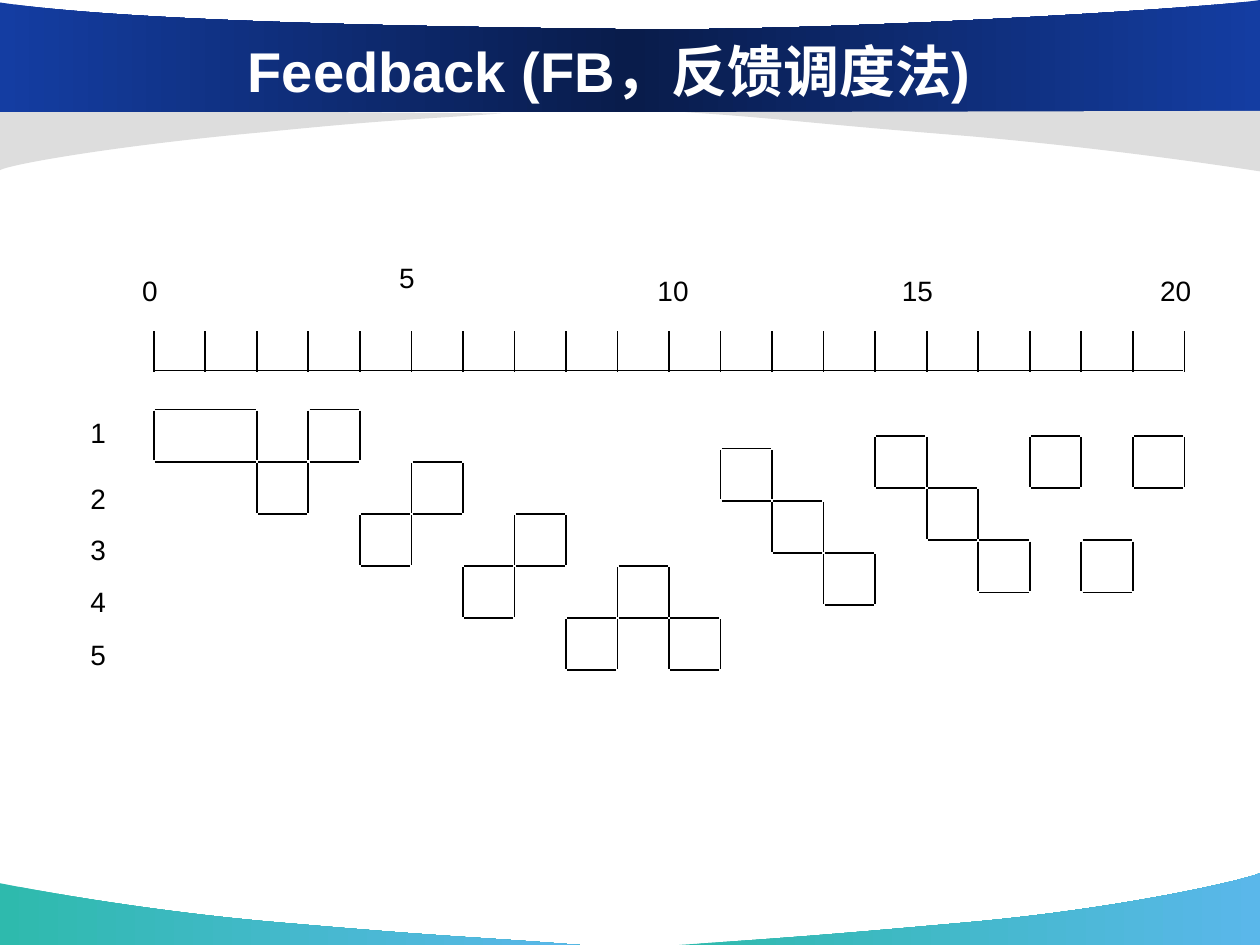
from copy import deepcopy

from lxml import etree
from pptx import Presentation
from pptx import util as u
from pptx.dml.color import RGBColor
from pptx.enum import shapes, text
from pptx.oxml.ns import qn

COLORS = {"ink": "000000", "title": "FFFFFF", "grey": "DDDDDD",
          "teal": "2EBAAD", "sky": "5AB7EA", "blue": "143DA2", "navy": "091C4B"}

UNITS = 20
ORIGIN, AXIS_END = 1.22, 9.4
TICK = (AXIS_END - ORIGIN) / UNITS
AXIS_TOP, AXIS_BOTTOM = 2.63, 2.95
ROW = 2.07 / 5                  # five process rows
GAP = 0.01                      # lines stop just short of the corners

# Each wave: colours, start point, then line ends (2 numbers) or curves (6)
WAVES = [
    (("teal", "sky"), (4.6, 7.5),
     [(3.84, 7.44, 3.58, 7.44, 2.32, 7.33), (1.06, 7.23, 0.01, 7.01, 0, 7.01), (0, 7.5)]),
    (("teal", "sky"), (5.39, 7.5),
     [(6.14, 7.45, 6.46, 7.43, 7.69, 7.32), (8.92, 7.21, 9.9, 6.98, 10, 6.93), (10, 7.5)]),
    (("grey",), (3.98, 0.9),
     [(3.31, 0.95, 3.18, 0.94, 2.08, 1.05), (0.97, 1.15, 0.09, 1.3, 0, 1.35), (0, 0.87)]),
    (("blue", "navy", "blue"), (0, 0.89),
     [(10, 0.89), (10, 0), (9.64, 0.06, 6.53, 0.26, 4.87, 0.23),
      (3.21, 0.21, 1.01, 0.17, 0, 0.02)]),
    (("grey",), (5.44, 0.89),
     [(6.2, 0.94, 6.42, 0.98, 7.68, 1.08), (8.94, 1.19, 9.99, 1.36, 10, 1.36), (10, 0.88)]),
]

TIME_LABELS = [("0", 1.03, 2.12), ("5", 3.07, 2.02), ("10", 5.12, 2.12),
               ("15", 7.06, 2.12), ("20", 9.11, 2.12)]
PROCESS_LABELS = [("1", 3.25), ("2", 3.77), ("3", 4.18), ("4", 4.59), ("5", 5.01)]

# Top of the first row -> (start time, duration, row) of each time slice
SLICES = {
    3.25: [(0, 2, 0), (2, 1, 1), (3, 1, 0), (4, 1, 2), (5, 1, 1),
           (6, 1, 3), (7, 1, 2), (8, 1, 4), (9, 1, 3), (10, 1, 4)],
    3.56: [(11, 1, 0), (12, 1, 1), (13, 1, 2)],
    3.46: [(14, 1, 0), (15, 1, 1), (16, 1, 2), (17, 1, 0), (18, 1, 2), (19, 1, 0)],
}


def rgb(name):
    return RGBColor.from_string(COLORS[name])


def write(frame, words, size=16, color="ink", bold=False, align=text.PP_ALIGN.LEFT):
    paragraph = frame.paragraphs[0]
    paragraph.alignment = align
    run = paragraph.add_run()
    run.text = words
    run.font.name = "Arial"
    run.font.size = u.Pt(size)
    run.font.bold = bold
    run.font.color.rgb = rgb(color)


def bend(outline, segments):
    """Turn the straight sides that belong to curve segments into curves."""
    sides = list(outline._element.iter(qn("a:lnTo")))
    for side, segment in zip(sides, segments):
        if len(segment) == 2:
            continue
        side.tag = qn("a:cubicBezTo")
        controls = (segment[:2], segment[2:4])
        for position, (x, y) in enumerate(controls):
            point = etree.Element(qn("a:pt"))
            point.set("x", str(u.Inches(x) - outline.left))
            point.set("y", str(u.Inches(y) - outline.top))
            side.insert(position, point)


class SlideBuilder:
    def __init__(self, slide):
        self.slide = slide
        self.line_color = "ink"
        self.line_width = u.Pt(1)

    def wave(self, colors, start, segments):
        builder = self.slide.shapes.build_freeform(*map(u.Inches, start))
        ends = [tuple(map(u.Inches, segment[-2:])) for segment in segments]
        builder.add_line_segments(ends, close=True)
        outline = builder.convert_to_shape()
        bend(outline, segments)
        outline.shadow.inherit = False
        outline.line.fill.background()
        self.fill(outline, colors)

    def fill(self, outline, colors):
        """One colour fills solid; more run evenly from left to right."""
        if len(colors) == 1:
            outline.fill.solid()
            outline.fill.fore_color.rgb = rgb(colors[0])
            return
        outline.fill.gradient()
        outline.fill.gradient_angle = 0
        stop_list = next(outline._element.iter(qn("a:gsLst")))
        for _ in colors[2:]:
            stop_list.append(deepcopy(stop_list[0]))
        for index, (stop, color) in enumerate(zip(outline.fill.gradient_stops, colors)):
            stop.position = index / (len(colors) - 1)
            stop.color.rgb = rgb(color)

    def title(self, words, left, top, width, height):
        heading = self.slide.shapes.title
        heading.left, heading.top = u.Inches(left), u.Inches(top)
        heading.width, heading.height = u.Inches(width), u.Inches(height)
        heading.text_frame.vertical_anchor = text.MSO_ANCHOR.MIDDLE
        write(heading.text_frame, words, size=32, color="title", bold=True,
              align=text.PP_ALIGN.CENTER)
        self.slide.shapes._spTree.append(heading._element)  # in front of the waves

    def label(self, words, left, top):
        width = 0.2 + 0.13 * len(words)
        box = self.slide.shapes.add_textbox(
            u.Inches(left), u.Inches(top), u.Inches(width), u.Inches(0.36))
        box.text_frame.word_wrap = False
        box.text_frame.auto_size = text.MSO_AUTO_SIZE.SHAPE_TO_FIT_TEXT
        write(box.text_frame, words)

    def line(self, x1, y1, x2, y2):
        stroke = self.slide.shapes.add_connector(
            shapes.MSO_CONNECTOR.STRAIGHT, *map(u.Inches, (x1, y1, x2, y2)))
        stroke.line.color.rgb = rgb(self.line_color)
        stroke.line.width = self.line_width
        etree.SubElement(stroke._element.spPr, qn("a:effectLst"))

    def time_slice(self, start, duration, top):
        left = ORIGIN + start * TICK
        right = left + duration * TICK
        bottom = top + ROW
        for y in (top, bottom):
            self.line(left + GAP, y, right - GAP, y)
        for x in (left, right):
            self.line(x, top + GAP, x, bottom - GAP)

    def time_axis(self):
        baseline = AXIS_BOTTOM - GAP
        self.line(ORIGIN + GAP, baseline, AXIS_END - GAP, baseline)
        for tick in range(UNITS + 1):
            x = ORIGIN + tick * TICK
            self.line(x, AXIS_BOTTOM, x, AXIS_TOP)


def main():
    deck = Presentation()
    deck.slide_width, deck.slide_height = u.Inches(10), u.Inches(7.5)
    builder = SlideBuilder(deck.slides.add_slide(deck.slide_layouts[5]))

    for wave in WAVES:
        builder.wave(*wave)
    builder.title("Feedback (FB，反馈调度法)", 0.92, 0.25, 7.83, 0.62)

    builder.time_axis()
    for words, left, top in TIME_LABELS:
        builder.label(words, left, top)
    for words, top in PROCESS_LABELS:
        builder.label(words, 0.62, top)
    for first_top, slices in SLICES.items():
        for start, duration, row in slices:
            builder.time_slice(start, duration, first_top + row * ROW)

    deck.save("out.pptx")


if __name__ == "__main__":
    main()
